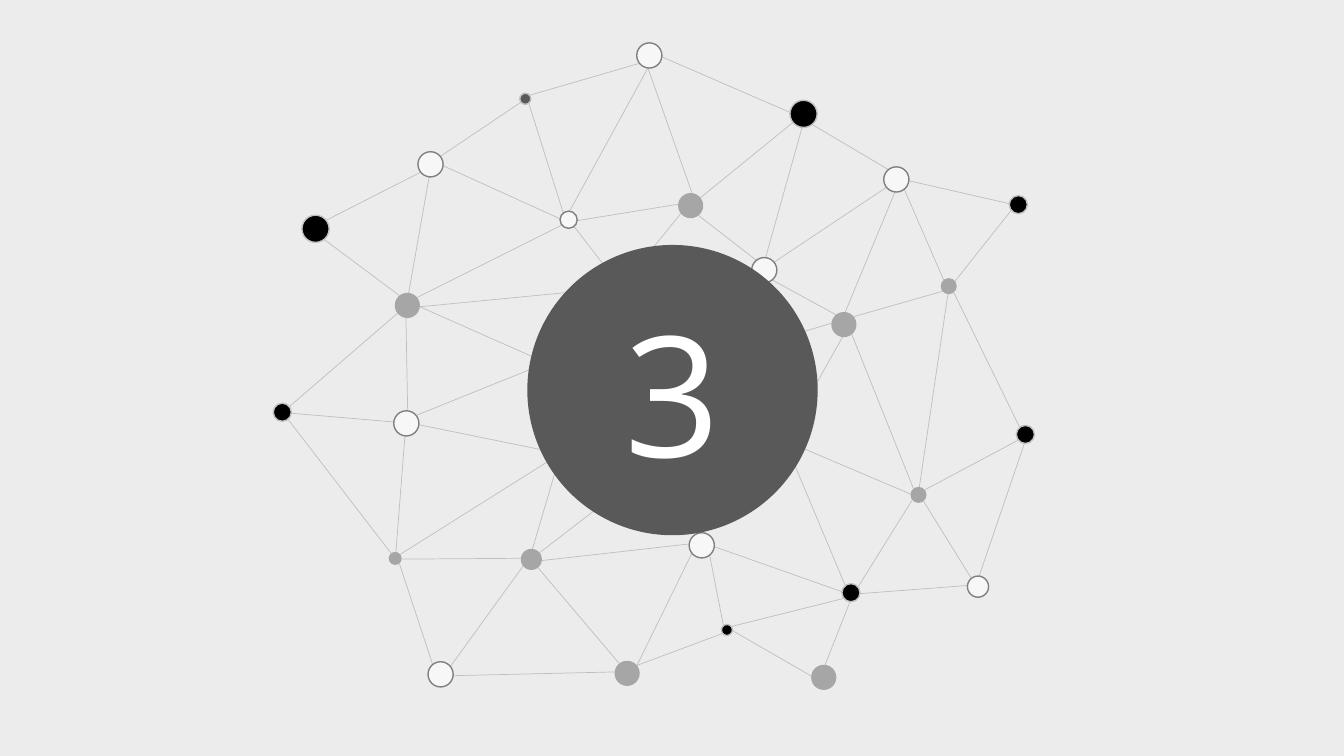
from math import atan2, cos, degrees, radians, sin
from lxml.etree import SubElement
from pptx import Presentation
from pptx.dml.color import RGBColor
from pptx.enum.shapes import MSO_CONNECTOR as Connector, MSO_SHAPE as Shape
from pptx.enum.text import MSO_ANCHOR as Anchor, PP_ALIGN as Align
from pptx.oxml.ns import qn
from pptx.util import Cm, Pt

BACKDROP = RGBColor(0xEC, 0xEC, 0xEC)
BLACK = RGBColor(0x00, 0x00, 0x00)
PALE = RGBColor(0xF7, 0xF7, 0xF7)
SILVER = RGBColor(0xA6, 0xA6, 0xA6)
CHARCOAL = RGBColor(0x59, 0x59, 0x59)
LINK_GREY = RGBColor(0xBF, 0xBF, 0xBF)
RIM_GREY = RGBColor(0x80, 0x80, 0x80)
WHITE = RGBColor(0xFF, 0xFF, 0xFF)

CM_PER_INCH = 2.54
SITE_STEP = 45
NODE_TURN = 6.2

NODE_GROUPS = [
    (BLACK, LINK_GREY, 0.27, {"C": (3.13, 2.27), "D": (7.97, 1.13)}),
    (BLACK, LINK_GREY, 0.18, {
        "A": (2.8, 4.09), "B": (10.17, 4.31), "E": (10.1, 2.03), "F": (8.44, 5.88)}),
    (BLACK, LINK_GREY, 0.11, {"G": (7.21, 6.25)}),
    (CHARCOAL, LINK_GREY, 0.11, {"H": (5.21, 0.98)}),
    (PALE, RIM_GREY, 0.25, {
        "I": (4.03, 4.2), "J": (6.96, 5.41), "K": (6.44, 0.55), "M": (4.27, 1.63),
        "N": (7.58, 2.68), "O": (8.89, 1.78), "Q": (4.37, 6.69)}),
    (PALE, RIM_GREY, 0.21, {"L": (9.7, 5.82)}),
    (PALE, RIM_GREY, 0.17, {"P": (5.64, 2.18)}),
    (SILVER, None, 0.25, {
        "U": (6.85, 2.04), "V": (8.37, 3.22), "W": (4.04, 3.03),
        "Y": (8.17, 6.72), "Z": (6.22, 6.68)}),
    (SILVER, None, 0.21, {"R": (5.27, 5.55)}),
    (SILVER, None, 0.16, {"T": (9.11, 4.91), "X": (9.41, 2.84)}),
    (SILVER, None, 0.13, {"S": (3.92, 5.54)}),
]

HUB_CENTER = (6.67, 3.87)
HUB_DIAMETER = 2.88
HUB_ENDS = {
    "a": (6.16, 2.85), "b": (5.42, 3.6), "c": (5.56, 4.5),
    "d": (6.2, 4.83), "e": (6.8, 3.65), "f": (7.78, 4.37),
}

LINKS = (
    "AS SI Ib Rc TV SR dR XT BL LT CW MH VN Pa KP DK DN OD CM KH HP "
    "OE XE OX BT QZ QR QS fF fT TF LF YF RJ GJ GF JF ZR Ic AI WI Wb "
    "MW MP AW WP Wa DU KU PU aU NU ON XV OV Vf eV ZJ ZG GY cS XB"
).split()


def to_cm(inches):
    return Cm(inches * CM_PER_INCH)


def rim_site(center, diameter, target):
    (x, y), (target_x, target_y) = center, target
    heading = degrees(atan2(target_y - y, target_x - x)) - NODE_TURN
    angle = radians(round(heading / SITE_STEP) * SITE_STEP + NODE_TURN)
    return x + diameter / 2 * cos(angle), y + diameter / 2 * sin(angle)


def add_link(slide, start, end):
    ends = rim_site(*start, end[0]) + rim_site(*end, start[0])
    link = slide.shapes.add_connector(Connector.STRAIGHT, *map(to_cm, ends))
    link.line.color.rgb = LINK_GREY
    link.line.width = Pt(0.5)
    SubElement(link._element.spPr, qn("a:effectLst"))


def add_circle(slide, center, diameter, fill, rim=None):
    left, top = (middle - diameter / 2 for middle in center)
    circle = slide.shapes.add_shape(
        Shape.OVAL, *map(to_cm, (left, top, diameter, diameter)))
    circle.shadow.inherit = False
    circle.fill.solid()
    circle.fill.fore_color.rgb = fill
    if rim is None:
        circle.line.fill.background()
    else:
        circle.line.color.rgb = rim
        circle.line.width = Pt(1)
    return circle


def add_network(slide):
    ends = {name: (center, 0) for name, center in HUB_ENDS.items()}
    for _, _, diameter, nodes in NODE_GROUPS:
        ends.update({name: (center, diameter) for name, center in nodes.items()})
    for start, end in LINKS:
        add_link(slide, ends[start], ends[end])
    for fill, rim, diameter, nodes in NODE_GROUPS:
        for center in nodes.values():
            add_circle(slide, center, diameter, fill, rim)


def add_section_number(slide, number):
    hub = add_circle(slide, HUB_CENTER, HUB_DIAMETER, CHARCOAL)
    hub.text_frame.text = number
    hub.text_frame.vertical_anchor = Anchor.MIDDLE
    paragraph = hub.text_frame.paragraphs[0]
    paragraph.alignment = Align.CENTER
    font = paragraph.runs[0].font
    font.name = "Open Sans"
    font.size = Pt(120)
    font.color.rgb = WHITE


def main():
    deck = Presentation()
    deck.slide_width = to_cm(13.33)
    deck.slide_height = to_cm(7.5)
    slide = deck.slides.add_slide(deck.slide_layouts[6])
    slide.background.fill.solid()
    slide.background.fill.fore_color.rgb = BACKDROP
    add_network(slide)
    add_section_number(slide, "3")
    deck.save("out.pptx")


main()
